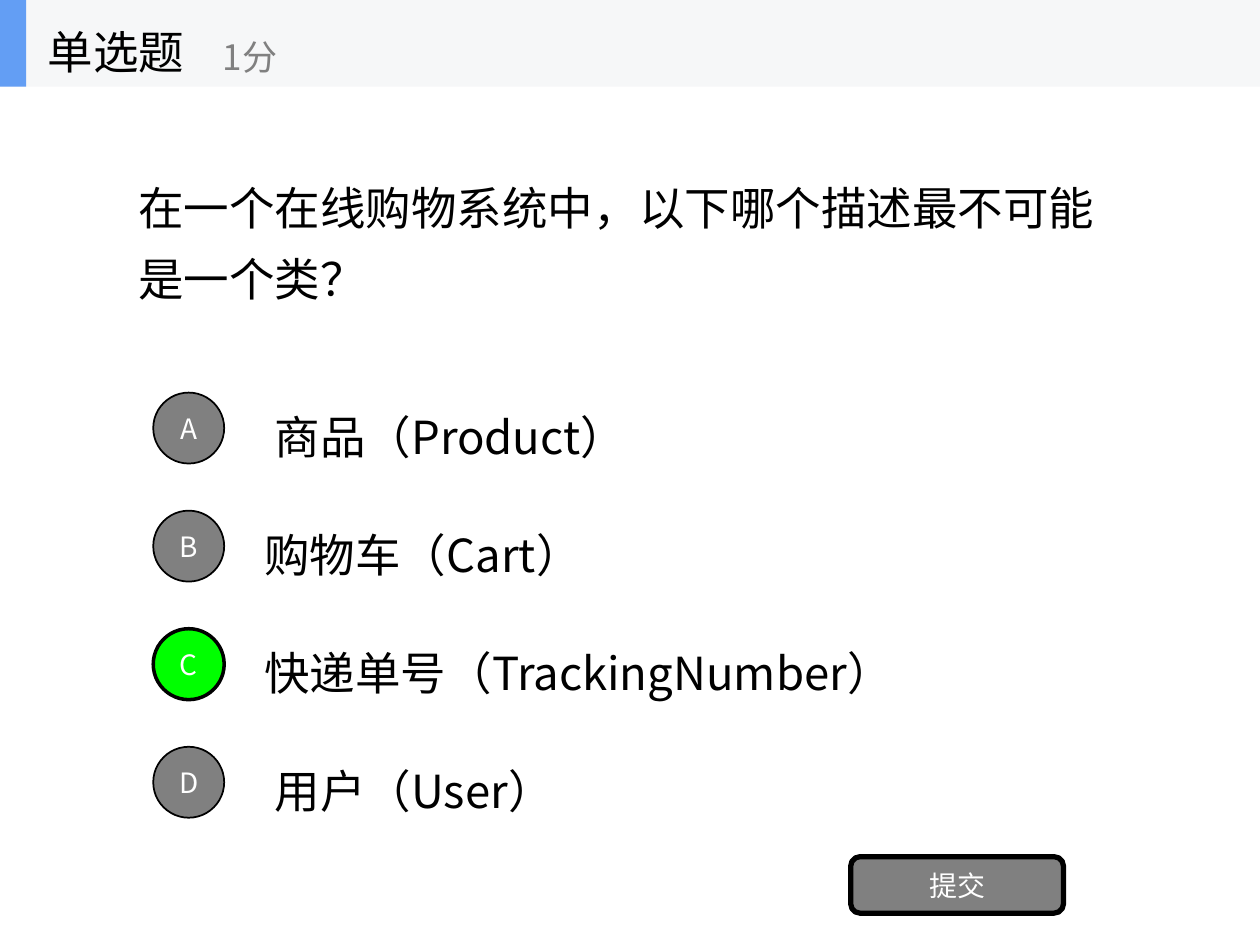
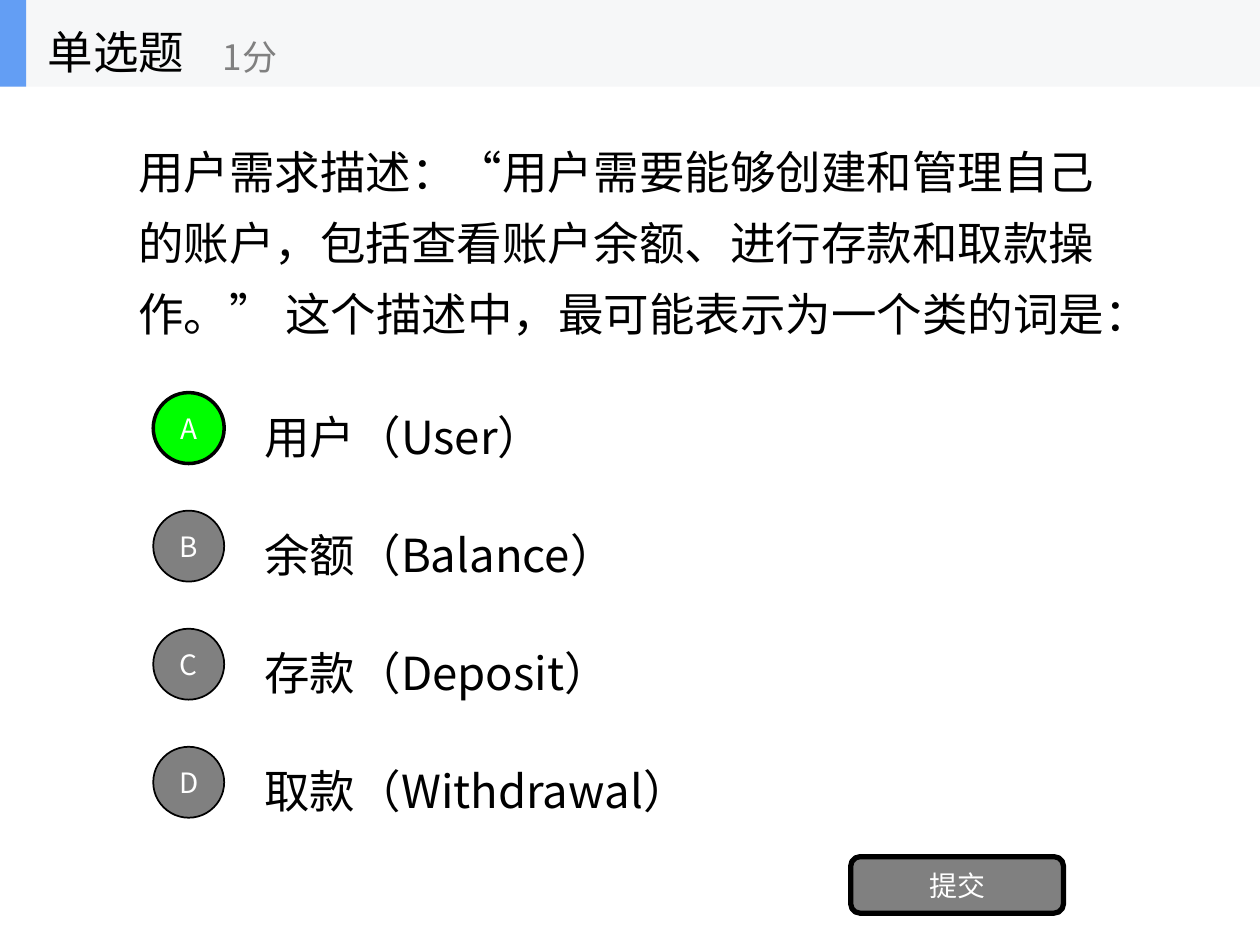
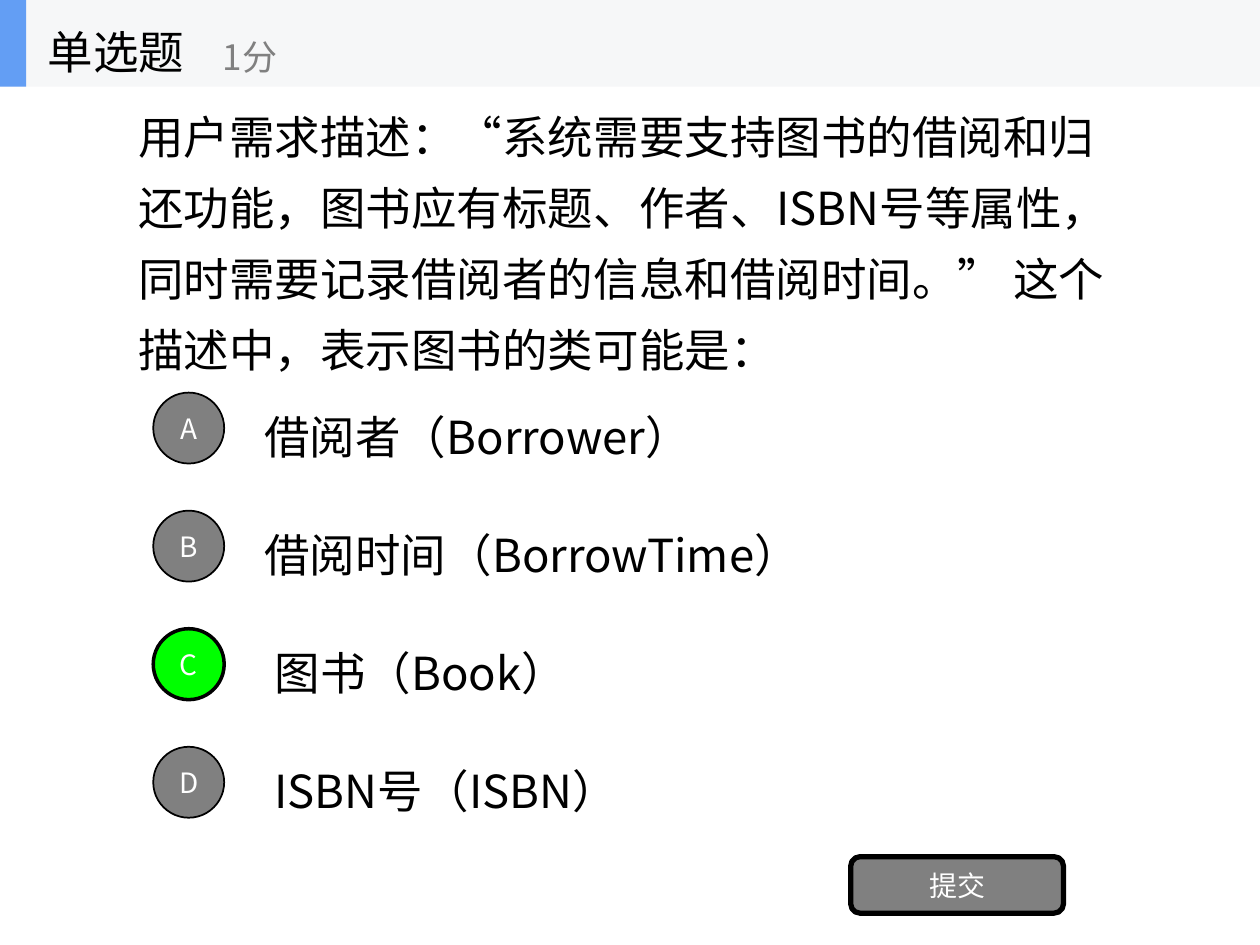
from pptx import Presentation
from pptx.dml.color import RGBColor
from pptx.enum.shapes import MSO_SHAPE as Kind
from pptx.enum.text import MSO_ANCHOR as Anchor, MSO_AUTO_SIZE as Auto, PP_ALIGN as Align
from pptx.oxml.ns import qn
from pptx.util import Cm, Pt

# Content: question, options, right letter
QUIZ = [
    ("在一个在线购物系统中，以下哪个描述最不可能是一个类？",
     [" 商品（Product）", "购物车（Cart）", "快递单号（TrackingNumber）", " 用户（User）"],
     "C"),
    ("用户需求描述：“用户需要能够创建和管理自己的账户，包括查看账户余额、进行存款和取款操作。”"
     " 这个描述中，最可能表示为一个类的词是：",
     ["用户（User）", "余额（Balance）", "存款（Deposit）", "取款（Withdrawal）"],
     "A"),
    ("用户需求描述：“系统需要支持图书的借阅和归还功能，图书应有标题、作者、ISBN号等属性，"
     "同时需要记录借阅者的信息和借阅时间。” 这个描述中，表示图书的类可能是：",
     ["借阅者（Borrower）", "借阅时间（BorrowTime）", " 图书（Book）", " ISBN号（ISBN）"],
     "C"),
]
TITLE, SCORE, SUBMIT = "单选题", "1分", "提交"

# Shared style, lengths in cm
FONT = "Noto Sans CJK SC"
BLACK, WHITE, GREY, GREEN = "000000", "FFFFFF", "808080", "00FF00"
BAND, BLUE = "F6F7F8", "639EF4"
WIDE, HIGH, HEAD = 25.4, 19.05, 1.75
TOP, STEP, ROW, DOT = 7.74, 2.38, 1.78, 1.43


def rgb(code):
    return RGBColor.from_string(code)


def put(shape, text, size, color, align=Align.LEFT, space=1.3):
    """Write one paragraph, centred vertically, into a shape."""
    frame = shape.text_frame
    frame.text = text
    frame.word_wrap = True
    frame.auto_size = Auto.NONE
    frame.vertical_anchor = Anchor.MIDDLE
    para = frame.paragraphs[0]
    para.alignment = align
    para.line_spacing = space
    para.font.size = Pt(size)
    para.font.name = FONT
    para.font.color.rgb = rgb(color)
    # East Asian glyphs need the font as well
    for latin in list(shape.element.iter(qn("a:latin"))):
        east = latin.makeelement(qn("a:ea"), {"typeface": FONT})
        latin.addnext(east)


def label(slide, box, text, size=26, color=BLACK):
    put(slide.shapes.add_textbox(*map(Cm, box)), text, size, color)


def block(slide, kind, box, fill, line=0, text=""):
    shape = slide.shapes.add_shape(kind, *map(Cm, box))
    shape.shadow.inherit = False
    shape.fill.solid()
    shape.fill.fore_color.rgb = rgb(fill)
    if line:
        shape.line.color.rgb = rgb(BLACK)
        shape.line.width = Pt(line)
    else:
        shape.line.fill.background()
    if text:
        put(shape, text, 16, WHITE, Align.CENTER, 1.0)


def header(slide):
    block(slide, Kind.RECTANGLE, (0, 0, WIDE, HEAD), BAND)
    block(slide, Kind.RECTANGLE, (0, 0, 0.53, HEAD), BLUE)
    title = slide.shapes.title
    title.left, title.top, title.width, title.height = map(Cm, (0.71, 0, 5.28, HEAD))
    put(title, TITLE, 26, BLACK)
    # Bring the title in front of the band
    title.element.getparent().append(title.element)
    label(slide, (4.24, 0.3, 6.35, 1.42), SCORE, 20, GREY)


def build(slide, ask, picks, right):
    label(slide, (2.54, HEAD, 20.32, 5.95), ask)
    # Options with their letters
    for row, (letter, pick) in enumerate(zip("ABCD", picks)):
        top = TOP + row * STEP
        label(slide, (5.08, top, 17.78, ROW), pick)
        fill, line = (GREEN, 2) if letter == right else (GREY, 1)
        spot = (3.09, top + (ROW - DOT) / 2, DOT, DOT)
        block(slide, Kind.OVAL, spot, fill, line, letter)
    block(slide, Kind.ROUNDED_RECTANGLE, (17.15, 17.27, 4.29, 1.14), GREY, 3, SUBMIT)
    header(slide)


def main():
    deck = Presentation()
    deck.slide_width, deck.slide_height = Cm(WIDE), Cm(HIGH)
    for item in QUIZ:
        build(deck.slides.add_slide(deck.slide_layouts[5]), *item)
    deck.save("out.pptx")


if __name__ == "__main__":
    main()
